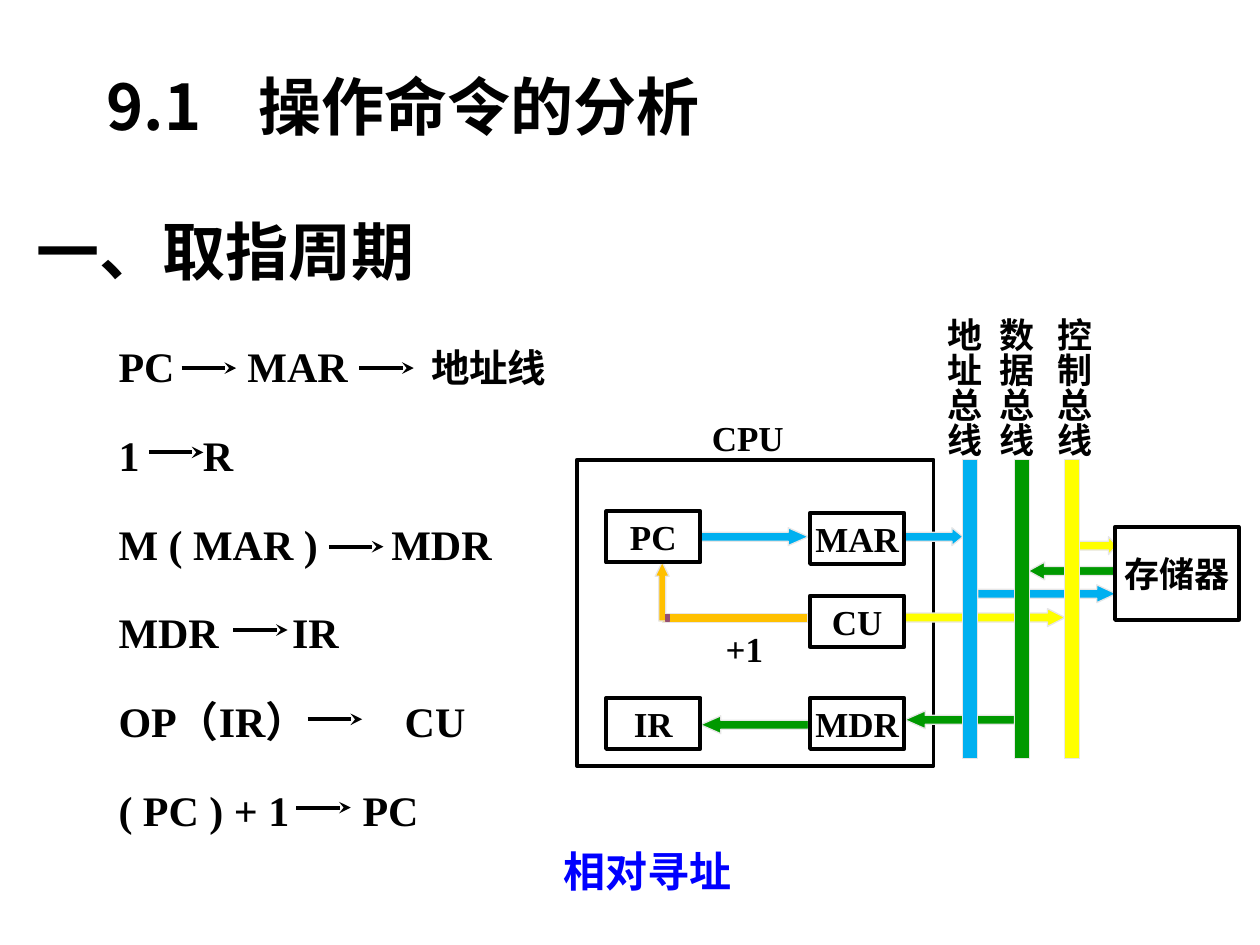
"""Build the slide on the fetch cycle, with its micro-operations and CPU data paths."""
from lxml import etree
from pptx import Presentation
from pptx.dml.color import RGBColor
from pptx.enum import shapes, text
from pptx.oxml.ns import qn
from pptx.util import Cm, Pt

HUES = {"ink": "000000", "link": "0000FF", "addr": "00B0F0", "data": "009900",
        "ctrl": "FFFF00", "step": "FFC000", "edge": "E7E6E6", "plum": "954F72"}
SERIF, SANS = "Times New Roman", "Noto Sans CJK SC"

STEPS = [
    ([("PC\tMAR\t", 24), ("地址线", 22)], (2.6, 6.3), (3.66, 7.24), 7.42),
    ("1\tR", (1.7,), (3.0,), 9.12),
    ("M ( MAR )\tMDR", (5.5,), (6.63,), 11.02),
    ("MDR\tIR", (3.5,), (4.7,), 12.7),
    ("OP（IR）\tCU", (5.77,), (6.2,), 14.5),
    ("( PC ) + 1\tPC", (4.92,), (5.97,), 16.28),
]
FLOWS = [
    ("addr", 18.24, 10.64, 1.17, 0.61, 0),
    ("addr", 14.12, 10.64, 2.18, 1.14, 0),
    ("data", 18.24, 14.33, 2.21, 1.14, 180),
    ("ctrl", 18.24, 12.27, 3.23, 0.98, 0),
    ("addr", 19.71, 11.79, 2.79, 1.08, 0),
    ("data", 20.73, 11.33, 1.75, 0.91, 180),
    ("ctrl", 21.62, 10.82, 0.89, 0.45, 0),
    ("data", 14.12, 14.43, 2.18, 1.14, 180),
]
UNITS = [
    ("PC", 12.22, 10.31, 1.9, 1.03),
    ("MAR", 16.33, 10.34, 1.9, 1.03),
    ("CU", 16.33, 12.01, 1.9, 1.03),
    ("IR", 12.22, 14.07, 1.9, 1.03),
    ("MDR", 16.33, 14.07, 1.9, 1.03),
    ("存储器", 22.48, 10.62, 2.49, 1.88),
]
BUSES = [
    ("地址总线", "addr", 19.41, 18.64),
    ("数据总线", "data", 20.45, 19.69),
    ("控制总线", "ctrl", 21.46, 20.85),
]

deck = Presentation()
deck.slide_width, deck.slide_height = Cm(25.4), Cm(19.05)
page = deck.slides.add_slide(deck.slide_layouts[6]).shapes
KIND = shapes.MSO_SHAPE


def tint(name):
    return RGBColor.from_string(HUES[name])


def write(frame, words, size=20, hue="ink", face=SERIF, align="LEFT", anchor="TOP",
          pad=(0.25, 0.13), wrap=False, tabs=(), lead=None, vert=None):
    frame.word_wrap = wrap
    frame.vertical_anchor = text.MSO_ANCHOR[anchor]
    frame.margin_left = frame.margin_right = Cm(pad[0])
    frame.margin_top = frame.margin_bottom = Cm(pad[1])
    if vert:
        frame._txBody.bodyPr.set("vert", vert)
    para = frame.paragraphs[0]
    para.alignment = text.PP_ALIGN[align]
    if lead:
        para.line_spacing = lead
    if tabs:
        stops = etree.SubElement(para._p.get_or_add_pPr(), qn("a:tabLst"))
        for pos in tabs:
            etree.SubElement(stops, qn("a:tab"), pos=str(int(Cm(pos))), algn="l")
    for part, pts in [(words, size)] if isinstance(words, str) else words:
        run = para.add_run()
        run.text = part
        run.font.size, run.font.bold, run.font.name = Pt(pts), True, face
        run.font.color.rgb = tint(hue)
        props = run._r.get_or_add_rPr()
        etree.SubElement(props, qn("a:ea"), typeface=SANS)


def label(words, x, y, w, h, **style):
    write(page.add_textbox(Cm(x), Cm(y), Cm(w), Cm(h)).text_frame, words, **style)


def block(kind, x, y, w, h, fill=None, line="edge", width=0.75):
    item = page.add_shape(kind, Cm(x), Cm(y), Cm(w), Cm(h))
    item.shadow.inherit = False
    if fill:
        item.fill.solid()
        item.fill.fore_color.rgb = tint(fill)
    else:
        item.fill.background()
    item.line.color.rgb = tint(line)
    item.line.width = Pt(width)
    return item


def arrow(x, y):
    wire = page.add_connector(shapes.MSO_CONNECTOR.STRAIGHT, Cm(x), Cm(y), Cm(x + 1.1), Cm(y))
    wire.line.color.rgb = tint("ink")
    wire.line.width = Pt(2.25)
    etree.SubElement(wire.line._get_or_add_ln(), qn("a:tailEnd"), type="stealth")
    etree.SubElement(wire._element.spPr, qn("a:effectLst"))


label("9.1\t操作命令的分析", 1.9, 0.64, 21.6, 3.17, size=36, face=SANS,
      anchor="MIDDLE", wrap=True, tabs=(3.07,), lead=0.9)
label("一、取指周期", 0.74, 4.45, 11.33, 1.19, size=36, anchor="MIDDLE", pad=(0, 0), wrap=True)

for i, (words, tabs, starts, y) in enumerate(STEPS):
    label(words, 2.39, 6.78 + 1.79 * i, 11.99, 1.19, size=24, anchor="MIDDLE",
          pad=(0, 0), wrap=True, tabs=tabs)
    for x in starts:
        arrow(x, y)

block(KIND.RECTANGLE, 11.63, 9.27, 7.19, 6.17, line="ink", width=2.25)
label("CPU", 14.1, 8.26, 1.96, 1.12)
block(KIND.RECTANGLE, 13.36, 12.37, 2.92, 0.18, "step")
block(KIND.UP_ARROW, 13.21, 11.33, 0.28, 1.19, "step").adjustments[1] = 1.03
block(KIND.RECTANGLE, 13.42, 12.39, 0.08, 0.13, "plum", "plum")
label("+1", 14.38, 12.53, 3.07, 1.12, wrap=True)

for hue, x, y, w, head, turn in FLOWS:
    flow = block(KIND.RIGHT_ARROW, x, y, w, 0.36, hue)
    flow.adjustments[1] = head
    flow.rotation = turn

for name, *place in UNITS:
    unit = block(KIND.RECTANGLE, *place, line="ink", width=2.25)
    write(unit.text_frame, name, align="CENTER", anchor="MIDDLE")

for name, hue, x, left in BUSES:
    block(KIND.RECTANGLE, x, 9.27, 0.3, 6.02, hue)
    label(name, left, 6.15, 1.35, 3.1, pad=(0.13, 0.25), vert="eaVert")

label("相对寻址", 11.1, 16.92, 3.89, 1.27, size=24, hue="link", align="RIGHT")

deck.save("out.pptx")
